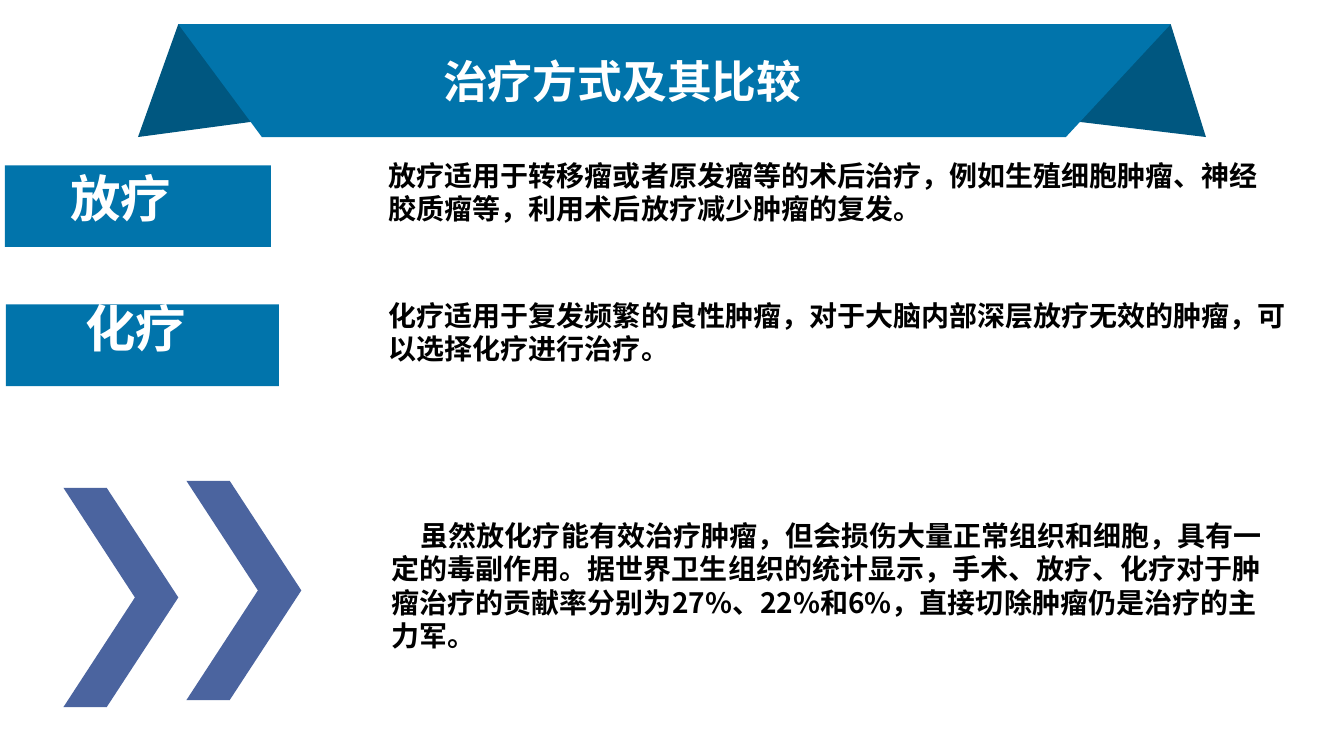
from pptx import Presentation, util as u
from pptx.dml.color import RGBColor
from pptx.enum import shapes, text

BLUE, NAVY, INDIGO, WHITE, BLACK = "0174AB", "005780", "4B649F", "FFFFFF", "000000"


def rgb(value):
    """Turn a hex string into a colour."""
    return RGBColor.from_string(value)


class Deck:
    """Holds the style and the current slide; lengths are percent of the slide."""

    def __init__(self, width, height):
        """Set the slide size and add a blank slide."""
        self.prs = Presentation()
        self.prs.slide_width, self.prs.slide_height = u.Inches(width), u.Inches(height)
        self.s = self.prs.slides.add_slide(self.prs.slide_layouts[6])

    def x(self, share):
        """Horizontal share as a length."""
        return u.Emu(round(self.prs.slide_width * share / 100))

    def y(self, share):
        """Vertical share as a length."""
        return u.Emu(round(self.prs.slide_height * share / 100))

    def box(self, left, top, width, height):
        """Place and size of an element."""
        return self.x(left), self.y(top), self.x(width), self.y(height)

    def paint(self, sp, fill):
        """Give a shape a plain fill."""
        sp.shadow.inherit = False
        sp.fill.solid()
        sp.fill.fore_color.rgb = rgb(fill)
        sp.line.fill.background()
        return sp

    def put_text(self, sp, words, size, color, font="Arial", spacing=1.0, **frame):
        """Put one bold paragraph into a shape."""
        tf = sp.text_frame
        for name, value in {"word_wrap": True, **frame}.items():
            setattr(tf, name, value)
        p = tf.paragraphs[0]
        p.alignment, p.line_spacing = text.PP_ALIGN.LEFT, spacing
        r = p.add_run()
        r.text = words
        for name, value in {"name": font, "size": u.Pt(size), "bold": True}.items():
            setattr(r.font, name, value)
        r.font.color.rgb = rgb(color)
        return p

    def label(self, place, words, inset, drop):
        """Add a blue label with its text set in from the left."""
        sp = self.s.shapes.add_shape(shapes.MSO_SHAPE.RECTANGLE, *self.box(*place))
        self.put_text(self.paint(sp, BLUE), words, 36, WHITE, "Calibri", 0.9,
                      margin_left=self.x(inset), margin_top=self.y(drop),
                      vertical_anchor=text.MSO_ANCHOR.TOP)

    def outline(self, points, fill):
        """Add a closed filled outline."""
        first, *rest = [(self.x(a), self.y(b)) for a, b in points]
        builder = self.s.shapes.build_freeform(*first)
        builder.add_line_segments(rest, close=True)
        return self.paint(builder.convert_to_shape(), fill)

    def chevron(self, left, top):
        """Add a chevron that points right."""
        arm, notch, tip, half = 3.22, 5.32, 8.55, 14.5
        offsets = [(0, 0), (arm, 0), (tip, half), (arm, 2 * half), (0, 2 * half), (notch, half)]
        self.outline([(left + a, top + b) for a, b in offsets], INDIGO)

    def note(self, place, words, font="Arial"):
        """Add a body text box."""
        sp = self.s.shapes.add_textbox(*self.box(*place))
        return self.put_text(sp, words, 20, BLACK, font,
                             auto_size=text.MSO_AUTO_SIZE.SHAPE_TO_FIT_TEXT)


def main():
    """Build the slide."""
    d = Deck(13.34, 7.5)
    d.label((0.37, 21.87, 19.79, 10.8), "放疗", 4.87, 1.2)
    d.label((0.45, 40.27, 20.31, 10.8), "化疗", 5.92, 0)

    top, bottom, left, right = 3.2, 18.13, 13.27, 87.11
    d.outline([(left, top), (right, top), (89.73, bottom), (47.75, 9.2), (10.27, bottom)], NAVY)
    banner = d.outline([(left, top), (right, top), (79.31, bottom), (19.49, bottom)], BLUE)
    d.put_text(banner, "治疗方式及其比较", 32, WHITE, margin_left=d.x(19.71),
               vertical_anchor=text.MSO_ANCHOR.MIDDLE)

    d.note((28.19, 20.27, 68.14, 10.27),
           "放疗适用于转移瘤或者原发瘤等的术后治疗，例如生殖细胞肿瘤、神经胶质瘤等，"
           "利用术后放疗减少肿瘤的复发。")
    d.note((28.19, 38.8, 68.89, 10.27),
           "化疗适用于复发频繁的良性肿瘤，对于大脑内部深层放疗无效的肿瘤，"
           "可以选择化疗进行治疗。")
    for place in [(13.87, 63.6), (4.72, 64.53)]:
        d.chevron(*place)
    p = d.note((21.81, 67.87, 73.84, 19.2),
               "虽然放化疗能有效治疗肿瘤，但会损伤大量正常组织和细胞，具有一定的毒副作用。"
               "据世界卫生组织的统计显示，手术、放疗、化疗对于肿瘤治疗的贡献率分别为"
               "27%、22%和6%，直接切除肿瘤仍是治疗的主力军。", "Noto Sans CJK SC")
    pPr = p._p.get_or_add_pPr()
    for name, inches in {"marL": 0.88, "indent": 0.29}.items():
        pPr.set(name, str(u.Inches(inches)))
    d.prs.save("out.pptx")


if __name__ == "__main__":
    main()
